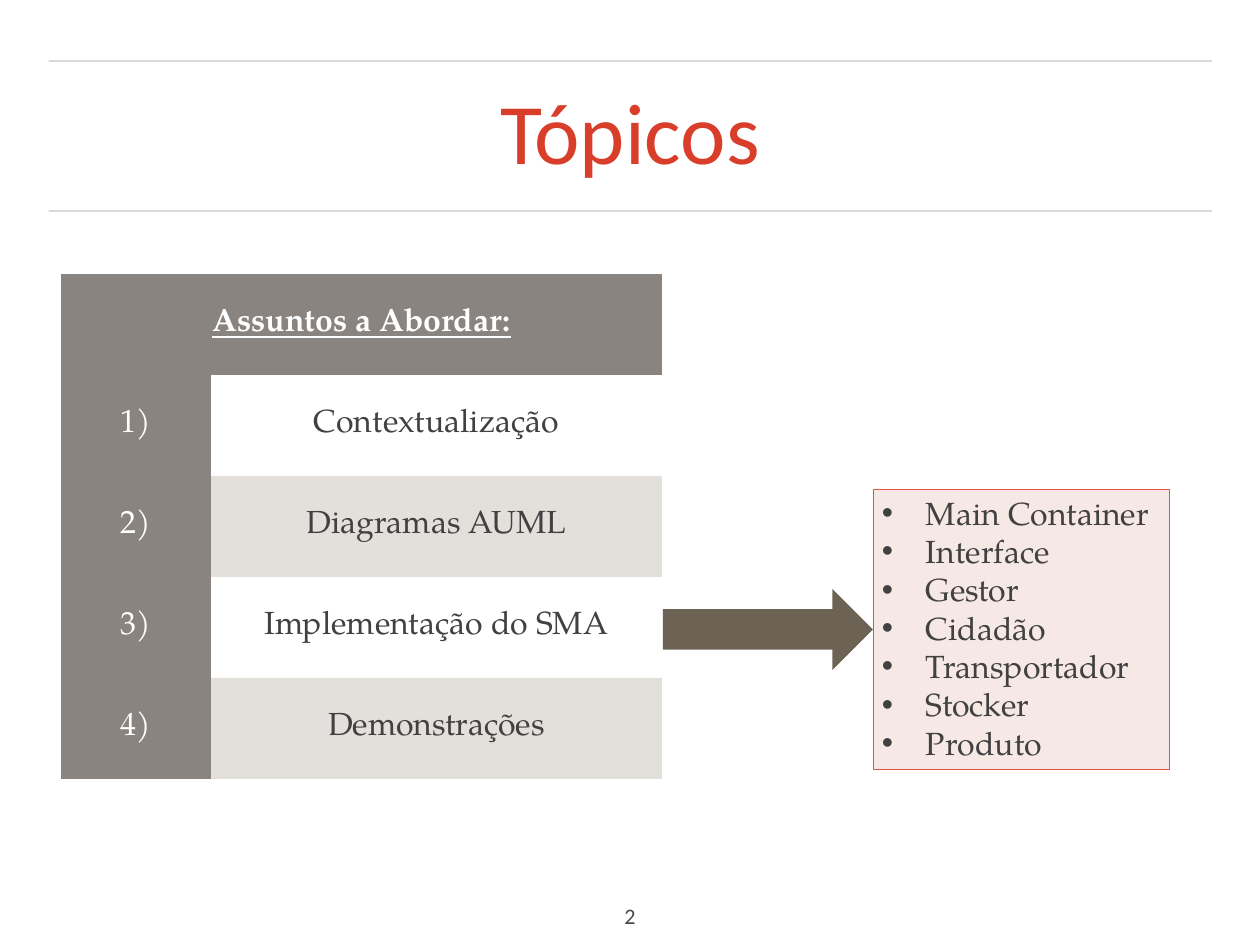
from lxml.etree import SubElement
from pptx import Presentation
from pptx.dml.color import RGBColor
from pptx.enum.shapes import MSO_CONNECTOR, MSO_SHAPE
from pptx.enum.text import MSO_ANCHOR, PP_ALIGN
from pptx.oxml.ns import qn
from pptx.util import Pt

PX = 10320
TITLE_FONT = "Calibri"
BODY_FONT = "TeX Gyre Pagella"
NO_STYLE = "{2D5ABB26-0587-4C30-8999-92F81FD0307C}"

WHITE = RGBColor(0xFF, 0xFF, 0xFF)
RED = RGBColor(0xD9, 0x3E, 0x2B)
RULE_GRAY = RGBColor(0x44, 0x44, 0x44)
NUMBER_GRAY = RGBColor(0x4C, 0x49, 0x46)
TEXT_GRAY = RGBColor(0x41, 0x41, 0x41)
HEADER_GRAY = RGBColor(0x89, 0x84, 0x7F)
BAND_GRAY = RGBColor(0xC9, 0xC3, 0xBA)
ARROW_BROWN = RGBColor(0x6D, 0x63, 0x55)
AGENT_PINK = RGBColor(0xF6, 0xE8, 0xE4)
AGENT_BORDER = RGBColor(0xDD, 0x55, 0x43)

TOPICS = ["Contextualização", "Diagramas AUML", "Implementação do SMA", "Demonstrações"]
AGENTS = ["Main Container", "Interface", "Gestor", "Cidadão", "Transportador", "Stocker", "Produto"]


def px(*lengths):
    """Turn whole pixels into EMU."""
    return [length * PX for length in lengths]


def set_opacity(properties, percent):
    """Set the opacity of the first colour found in the properties element."""
    color = next(properties.iter(qn("a:srgbClr")))
    SubElement(color, qn("a:alpha")).set("val", str(percent * 1000))


def set_margins(target, horizontal, vertical):
    """Set the inner margins of a text frame or a table cell."""
    target.margin_left = target.margin_right = horizontal * PX
    target.margin_top = target.margin_bottom = vertical * PX


def write(paragraph, text, *, size=26, font=BODY_FONT, color=TEXT_GRAY,
          align=PP_ALIGN.CENTER, bold=False, underline=False):
    """Put formatted text into a paragraph."""
    paragraph.alignment = align
    run = paragraph.add_run()
    run.text = text
    run.font.size = Pt(size)
    run.font.name = font
    run.font.color.rgb = color
    run.font.bold = bold
    run.font.underline = underline


def add_bullet(paragraph, indent):
    """Give a paragraph a round bullet with a hanging indent."""
    properties = paragraph._p.get_or_add_pPr()
    properties.set("marL", str(indent * PX))
    properties.set("indent", str(-indent * PX))
    SubElement(properties, qn("a:buFont")).set("typeface", "Arial")
    SubElement(properties, qn("a:buChar")).set("char", "•")


def add_rule(slide, top):
    """Draw a thin, faint horizontal line across the slide."""
    rule = slide.shapes.add_connector(MSO_CONNECTOR.STRAIGHT, *px(49, top, 1212, top))
    rule.line.color.rgb = RULE_GRAY
    rule.line.width = Pt(1)
    set_opacity(rule._element.spPr, 30)
    SubElement(rule._element.spPr, qn("a:effectLst"))


def add_label(slide, text, box, *, wrap=True, anchor=MSO_ANCHOR.TOP, **text_format):
    """Add a text box with one centred line and return its paragraph."""
    frame = slide.shapes.add_textbox(*px(*box)).text_frame
    frame.word_wrap = wrap
    frame.vertical_anchor = anchor
    set_margins(frame, 5, 5)
    write(frame.paragraphs[0], text, **text_format)
    return frame.paragraphs[0]


def add_block(slide, kind, box, fill, border=None):
    """Add a flat filled shape, with a border if one is given."""
    shape = slide.shapes.add_shape(kind, *px(*box))
    shape.shadow.inherit = False
    shape.fill.solid()
    shape.fill.fore_color.rgb = fill
    if border is None:
        shape.line.fill.background()
    else:
        shape.line.color.rgb = border
        shape.line.width = Pt(0.75)
    return shape


def add_agent_list(slide):
    """Add the bulleted list of agents."""
    shape = add_block(slide, MSO_SHAPE.RECTANGLE, (873, 489, 297, 280), AGENT_PINK, AGENT_BORDER)
    frame = shape.text_frame
    frame.word_wrap = True
    frame.vertical_anchor = MSO_ANCHOR.TOP
    set_margins(frame, 9, 4)
    for index, agent in enumerate(AGENTS):
        paragraph = frame.add_paragraph() if index else frame.paragraphs[0]
        write(paragraph, agent, align=PP_ALIGN.LEFT)
        add_bullet(paragraph, 44)


def fill_cell(cell, text, fill=None, *, opacity=100, **text_format):
    """Write a table cell and set its fill."""
    cell.vertical_anchor = MSO_ANCHOR.MIDDLE
    set_margins(cell, 5, 5)
    if fill is None:
        cell.fill.background()
    else:
        cell.fill.solid()
        cell.fill.fore_color.rgb = fill
        set_opacity(cell._tc.tcPr, opacity)
    write(cell.text_frame.paragraphs[0], text, **text_format)


def add_topic_table(slide):
    """Add the numbered table of topics."""
    row_count = len(TOPICS) + 1
    frame = slide.shapes.add_table(row_count, 2, *px(61, 274, 601, 101 * row_count))
    table = frame.table
    table.first_row = table.horz_banding = False
    table._tbl.tblPr.find(qn("a:tableStyleId")).text = NO_STYLE
    for column, width in zip(table.columns, px(150, 451)):
        column.width = width
    header = table.cell(0, 0)
    header.merge(table.cell(0, 1))
    fill_cell(header, "Assuntos a Abordar:", HEADER_GRAY, color=WHITE, bold=True, underline=True)
    for row, topic in enumerate(TOPICS, start=1):
        fill_cell(table.cell(row, 0), f"{row})", HEADER_GRAY, color=WHITE)
        fill_cell(table.cell(row, 1), topic, None if row % 2 else BAND_GRAY, opacity=50)


def main():
    """Build the topics slide and save it."""
    presentation = Presentation()
    presentation.slide_width, presentation.slide_height = px(1260, 945)
    slide = presentation.slides.add_slide(presentation.slide_layouts[6])
    for top in (211, 61):
        add_rule(slide, top)
    title = add_label(slide, "Tópicos", (49, 78, 1162, 118), anchor=MSO_ANCHOR.MIDDLE,
                      size=70, font=TITLE_FONT, color=RED)
    title.line_spacing = 0.9
    title.space_before = Pt(16)
    add_label(slide, "2", (619, 897, 22, 39), wrap=False,
              size=18, font=TITLE_FONT, color=NUMBER_GRAY)
    add_agent_list(slide)
    add_topic_table(slide)
    add_block(slide, MSO_SHAPE.RIGHT_ARROW, (663, 589, 210, 81), ARROW_BROWN)
    presentation.save("out.pptx")


if __name__ == "__main__":
    main()
